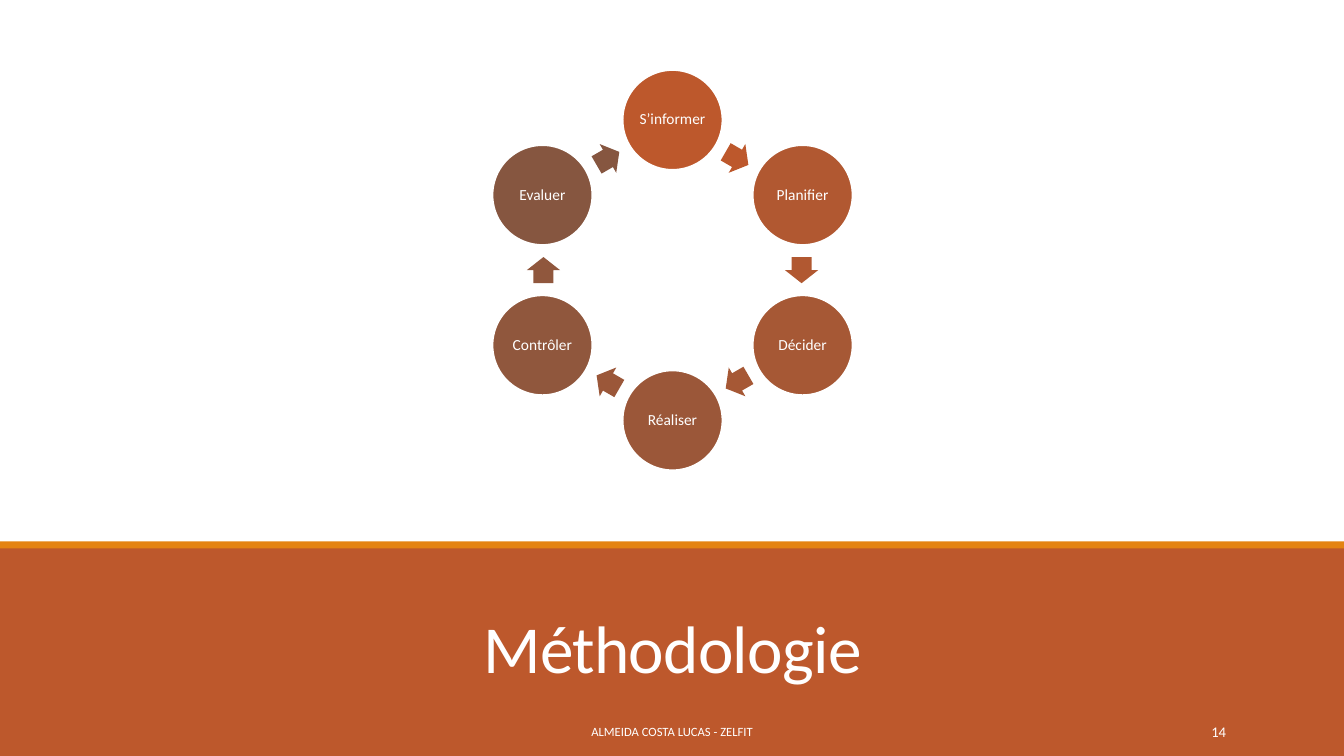
from math import cos, radians, sin

from pptx import Presentation
from pptx.dml.color import RGBColor
from pptx.enum.shapes import MSO_SHAPE
from pptx.enum.text import MSO_ANCHOR, MSO_AUTO_SIZE, PP_ALIGN
from pptx.util import Inches, Pt

WHITE = RGBColor(0xFF, 0xFF, 0xFF)
RUST = RGBColor(0xBD, 0x58, 0x2C)
ORANGE = RGBColor(0xE4, 0x83, 0x12)

STEPS = [
    ("S’informer", RUST),
    ("Planifier", RGBColor(0xB1, 0x58, 0x31)),
    ("Décider", RGBColor(0xA6, 0x58, 0x35)),
    ("Réaliser", RGBColor(0x9B, 0x57, 0x39)),
    ("Contrôler", RGBColor(0x90, 0x57, 0x3D)),
    ("Evaluer", RGBColor(0x86, 0x56, 0x40)),
]
CX, CY = 6.67, 2.68
STEP_RADIUS, ARROW_RADIUS = 1.49, 1.28
DIAMETER = 0.99
ARROW_W, ARROW_H = 0.26, 0.33


def add_filled(kind, x, y, w, h, color):
    sp = s.shapes.add_shape(kind, Inches(x), Inches(y), Inches(w), Inches(h))
    sp.shadow.inherit = False
    sp.fill.solid()
    sp.fill.fore_color.rgb = color
    sp.line.fill.background()
    return sp


def write(sp, content, size, align=PP_ALIGN.CENTER, anchor=MSO_ANCHOR.MIDDLE,
          spacing=1.0, wrap=True):
    tf = sp.text_frame
    tf.auto_size = MSO_AUTO_SIZE.NONE
    tf.word_wrap = wrap
    tf.vertical_anchor = anchor
    p = tf.paragraphs[0]
    p.alignment = align
    p.line_spacing = spacing
    r = p.add_run()
    r.text = content
    r.font.name = "Calibri"
    r.font.size = Pt(size)
    r.font.color.rgb = WHITE
    return r


prs = Presentation()
prs.slide_width, prs.slide_height = Inches(13.33), Inches(7.5)
s = prs.slides.add_slide(prs.slide_layouts[5])

# Lower band with its title
add_filled(MSO_SHAPE.RECTANGLE, 0, 5.42, 13.33, 2.08, RUST)
add_filled(MSO_SHAPE.RECTANGLE, 0, 5.37, 13.33, 0.07, ORANGE)

title = s.shapes.title
title.left, title.top = Inches(1.17), Inches(5.74)
title.width, title.height = Inches(11), Inches(1.13)
r = write(title, "Méthodologie", 48, anchor=MSO_ANCHOR.BOTTOM, spacing=0.85)
r.font._element.set("spc", "-50")
title.element.getparent().append(title.element)  # in front of the band

# Footer and slide number
for content, x, w, size, align in [
    ("ALMEIDA COSTA LUCAS - ZELFIT", 4.03, 5.27, 9, PP_ALIGN.CENTER),
    ("14", 10.83, 1.43, 10.5, PP_ALIGN.RIGHT),
]:
    box = s.shapes.add_textbox(Inches(x), Inches(7.06), Inches(w), Inches(0.4))
    write(box, content, size, align)

# Cycle: steps every 60 degrees clockwise from the top, an arrow between each
for i, (label, color) in enumerate(STEPS):
    angle = radians(60 * i)
    x = CX + STEP_RADIUS * sin(angle) - DIAMETER / 2
    y = CY - STEP_RADIUS * cos(angle) - DIAMETER / 2
    step = add_filled(MSO_SHAPE.OVAL, x, y, DIAMETER, DIAMETER, color)
    step.line.color.rgb = WHITE
    step.line.width = Pt(1.25)
    tf = step.text_frame
    tf.margin_left = tf.margin_right = Inches(0.02)
    tf.margin_top = tf.margin_bottom = Inches(0.02)
    write(step, label, 11, spacing=0.9, wrap=False)

    turn = 60 * i + 30
    x = CX + ARROW_RADIUS * sin(radians(turn)) - ARROW_W / 2
    y = CY - ARROW_RADIUS * cos(radians(turn)) - ARROW_H / 2
    arrow = add_filled(MSO_SHAPE.RIGHT_ARROW, x, y, ARROW_W, ARROW_H, color)
    arrow.adjustments[0] = 0.6
    arrow.adjustments[1] = 0.5
    arrow.rotation = turn

prs.save("out.pptx")
